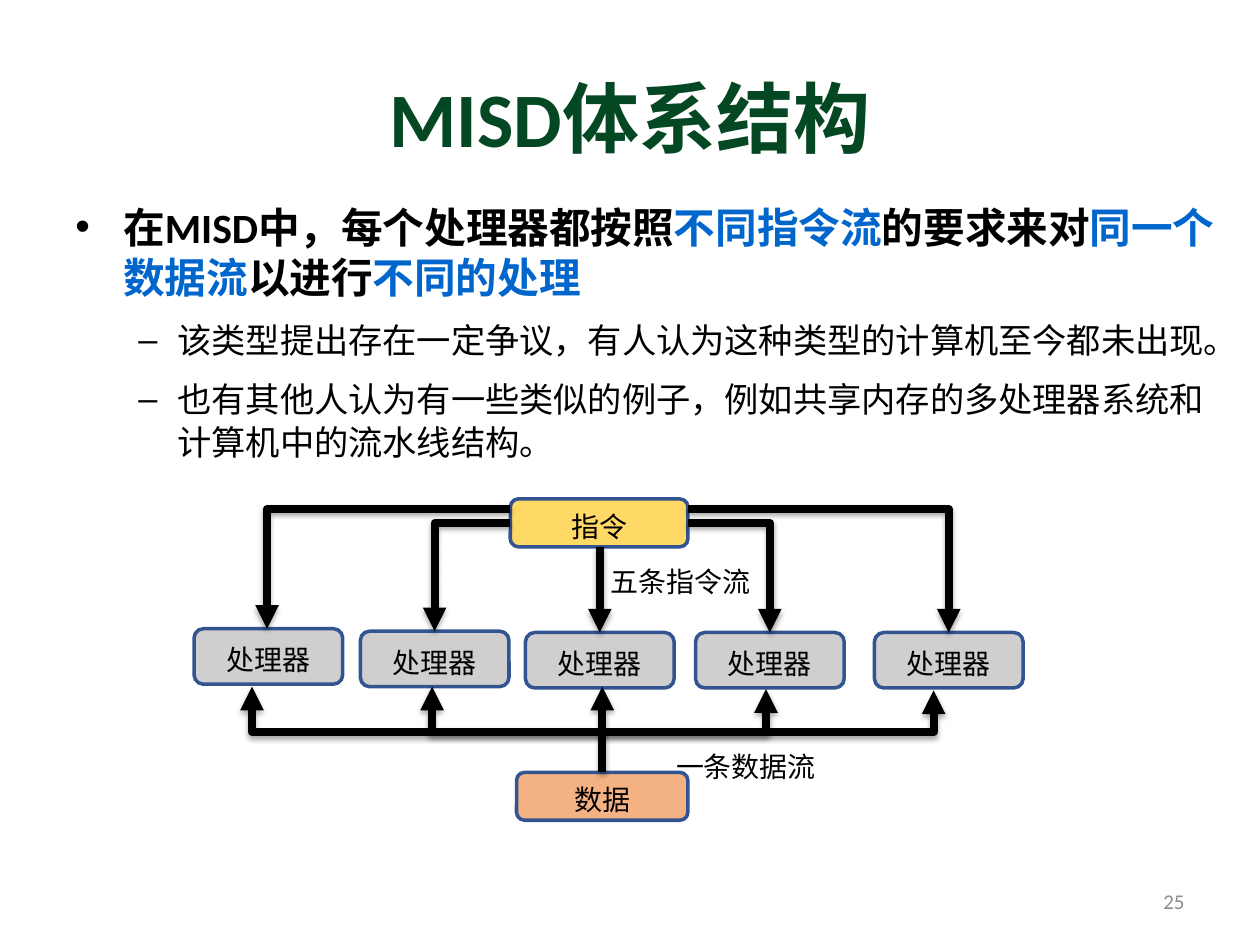
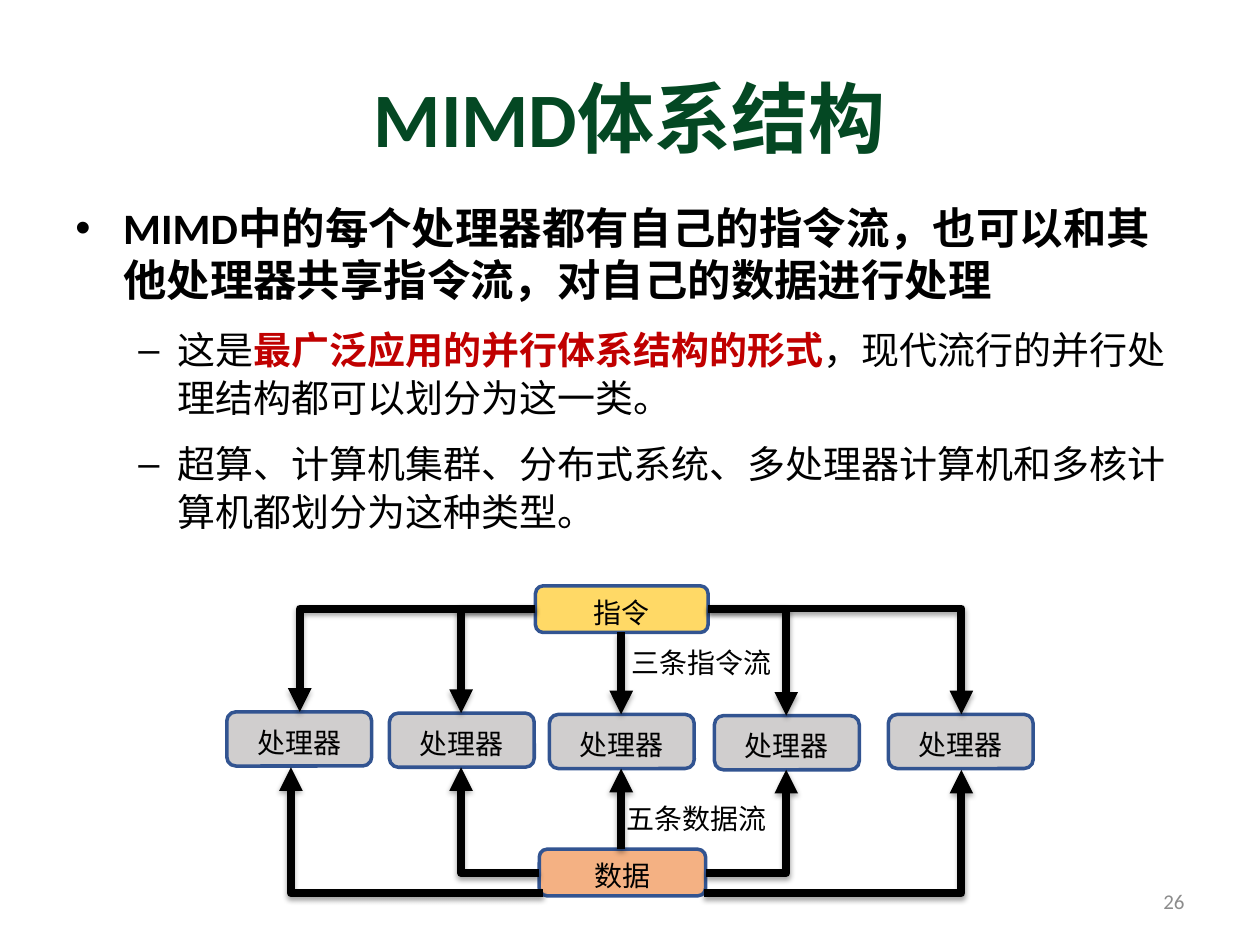
from lxml.etree import SubElement
from pptx import Presentation
from pptx.dml.color import RGBColor
from pptx.enum.shapes import MSO_CONNECTOR, MSO_SHAPE
from pptx.enum.text import MSO_ANCHOR, PP_ALIGN
from pptx.oxml import parse_xml
from pptx.oxml.ns import nsdecls, qn
from pptx.util import Pt

PX = 9144  # 100 px to the inch
BLACK = RGBColor(0x00, 0x00, 0x00)
GREEN = RGBColor(0x04, 0x48, 0x23)
BLUE = RGBColor(0x00, 0x66, 0xCC)
RED = RGBColor(0xC0, 0x00, 0x00)
GREY = RGBColor(0x8C, 0x8C, 0x8C)
EDGE = RGBColor(0x32, 0x54, 0x91)
GOLD = RGBColor(0xFF, 0xD9, 0x66)
SILVER = RGBColor(0xD0, 0xCE, 0xCE)
PEACH = RGBColor(0xF4, 0xB1, 0x83)
LATIN, HAN = "Calibri", "Noto Sans CJK SC"
SHADOW = (
    f'<a:effectLst {nsdecls("a")}><a:outerShdw blurRad="39370" dist="22860" '
    'dir="5400000" rotWithShape="0"><a:srgbClr val="000000">'
    '<a:alpha val="35000"/></a:srgbClr></a:outerShdw></a:effectLst>'
)

# Body items: level, size, runs of (text, colour, bold).
# Streams: start x, bend y, tip x, tip y; straight ones have equal x.
SLIDES = [
    dict(
        title="MISD体系结构", page="25", body=(50, 155, 938, 245), gap=3,
        items=[
            (0, 23.8, [("在MISD中，每个处理器都按照", BLACK, True),
                       ("不同指令流", BLUE, True),
                       ("的要求来对", BLACK, True),
                       ("同一个数据流", BLUE, True),
                       ("以进行", BLACK, True),
                       ("不同的处理", BLUE, True)]),
            (1, 19.6, [("该类型提出存在一定争议，有人认为这种类型的计算机至今都未出现。",
                        BLACK, False)]),
            (1, 19.6, [("也有其他人认为有一些类似的例子，例如共享内存的多处理器系统和"
                        "计算机中的流水线结构。", BLACK, False)]),
        ],
        order=(405, 396, 141, 38), data=(410, 613, 136, 38),
        units=[(154, 499), (286, 501), (417, 502), (552, 502), (694, 502)],
        size=(118, 44),
        notes=[("五条指令流", 474, 443), ("一条数据流", 526, 590)],
        streams=[(476, 434, 476, 502), (405, 415, 345, 501),
                 (405, 404, 212, 499), (546, 415, 611, 502),
                 (546, 404, 753, 502), (478, 613, 478, 545),
                 (478, 581, 608, 547), (478, 581, 741, 548),
                 (478, 581, 343, 545), (478, 581, 200, 545)],
    ),
    dict(
        title="MIMD体系结构", page="26", body=(50, 155, 907, 291), gap=4.5,
        items=[
            (0, 24.8, [("MIMD中的每个处理器都有自己的指令流，也可以和其他处理器"
                        "共享指令流，对自己的数据进行处理", BLACK, True)]),
            (1, 21.7, [("这是", BLACK, False),
                       ("最广泛应用的并行体系结构的形式", RED, True),
                       ("，现代流行的并行处理结构都可以划分为这一类。", BLACK, False)]),
            (1, 21.7, [("超算、计算机集群、分布式系统、多处理器计算机和多核计算机"
                        "都划分为这种类型。", BLACK, False)]),
        ],
        order=(425, 465, 137, 37), data=(428, 674, 132, 37),
        units=[(180, 565), (309, 566), (436, 567), (567, 568), (705, 567)],
        size=(115, 43),
        notes=[("三条指令流", 491, 507), ("五条数据流", 487, 631)],
        streams=[(493, 502, 493, 567), (425, 483, 366, 566),
                 (425, 483, 238, 565), (562, 483, 624, 568),
                 (562, 483, 763, 567), (493, 674, 493, 610),
                 (428, 693, 366, 609), (431, 709, 231, 609),
                 (560, 693, 624, 611), (559, 709, 763, 611)],
    ),
]


def style(para, size, color, face, bold=False):
    font = para.font
    font.size, font.bold = Pt(size), bold
    font.color.rgb = color
    font.name = face
    SubElement(font._element, qn("a:ea"), typeface=HAN)


def write(slide, text, box, size, color, face, align, bold=False, wrap=True):
    """Add a text box with one line, centred in height."""
    frame = slide.shapes.add_textbox(*[v * PX for v in box]).text_frame
    frame.word_wrap = wrap
    frame.vertical_anchor = MSO_ANCHOR.MIDDLE
    para = frame.paragraphs[0]
    para.text, para.alignment = text, align
    style(para, size, color, face, bold)


deck = Presentation()
deck.slide_width, deck.slide_height = 1000 * PX, 750 * PX

for page in SLIDES:
    slide = deck.slides.add_slide(deck.slide_layouts[6])
    write(slide, page["title"], (50, 30, 900, 125), 44, GREEN, LATIN,
          PP_ALIGN.CENTER, bold=True)
    write(slide, page["page"], (717, 695, 233, 40), 12, GREY, LATIN,
          PP_ALIGN.RIGHT)

    # Bulleted body
    frame = slide.shapes.add_textbox(*[v * PX for v in page["body"]]).text_frame
    frame.word_wrap = True
    for i, (level, size, runs) in enumerate(page["items"]):
        para = frame.paragraphs[0] if i == 0 else frame.add_paragraph()
        para.level = level
        props = para._p.get_or_add_pPr()
        props.set("marL", str((38, 81)[level] * PX))
        props.set("indent", str((-38, -31)[level] * PX))
        SubElement(props, qn("a:buFont"), typeface="Arial")
        SubElement(props, qn("a:buChar"), char="•–"[level])
        para.line_spacing = (1.0, 1.05)[level]
        para.space_before = Pt(page["gap"] if i else 0)
        para.space_after = Pt(6)
        style(para, size, BLACK, LATIN, bold=level == 0)
        for text, color, bold in runs:
            run = para.add_run()
            run.text = text
            if color != BLACK:
                run.font.color.rgb, run.font.bold = color, bold

    # Boxes of the diagram
    boxes = [("指令", GOLD, page["order"]), ("数据", PEACH, page["data"])]
    boxes += [("处理器", SILVER, spot + page["size"]) for spot in page["units"]]
    for text, fill, box in boxes:
        shape = slide.shapes.add_shape(MSO_SHAPE.ROUNDED_RECTANGLE,
                                       *[v * PX for v in box])
        shape.shadow.inherit = False
        shape.fill.solid()
        shape.fill.fore_color.rgb = fill
        shape.line.color.rgb, shape.line.width = EDGE, Pt(2)
        frame = shape.text_frame
        frame.margin_top, frame.margin_bottom = 5 * PX, 0
        frame.vertical_anchor = MSO_ANCHOR.MIDDLE
        para = frame.paragraphs[0]
        para.text, para.alignment = text, PP_ALIGN.CENTER
        style(para, 16, BLACK, HAN)

    # Streams run sideways first, then up or down to the tip
    for x, y, tip_x, tip_y in page["streams"]:
        kind = MSO_CONNECTOR.STRAIGHT if x == tip_x else MSO_CONNECTOR.ELBOW
        arrow = slide.shapes.add_connector(
            kind, x * PX, y * PX, tip_x * PX, tip_y * PX)
        arrow.line.color.rgb, arrow.line.width = BLACK, Pt(4.5)
        props = arrow._element.spPr
        if x != tip_x:
            props.find(qn("a:prstGeom")).set("prst", "bentConnector2")
        SubElement(props.find(qn("a:ln")), qn("a:tailEnd"), type="triangle")
        props.append(parse_xml(SHADOW))

    for text, left, top in page["notes"]:
        write(slide, text, (left, top, 132, 37), 16, BLACK, HAN,
              PP_ALIGN.CENTER, wrap=False)

deck.save("out.pptx")
